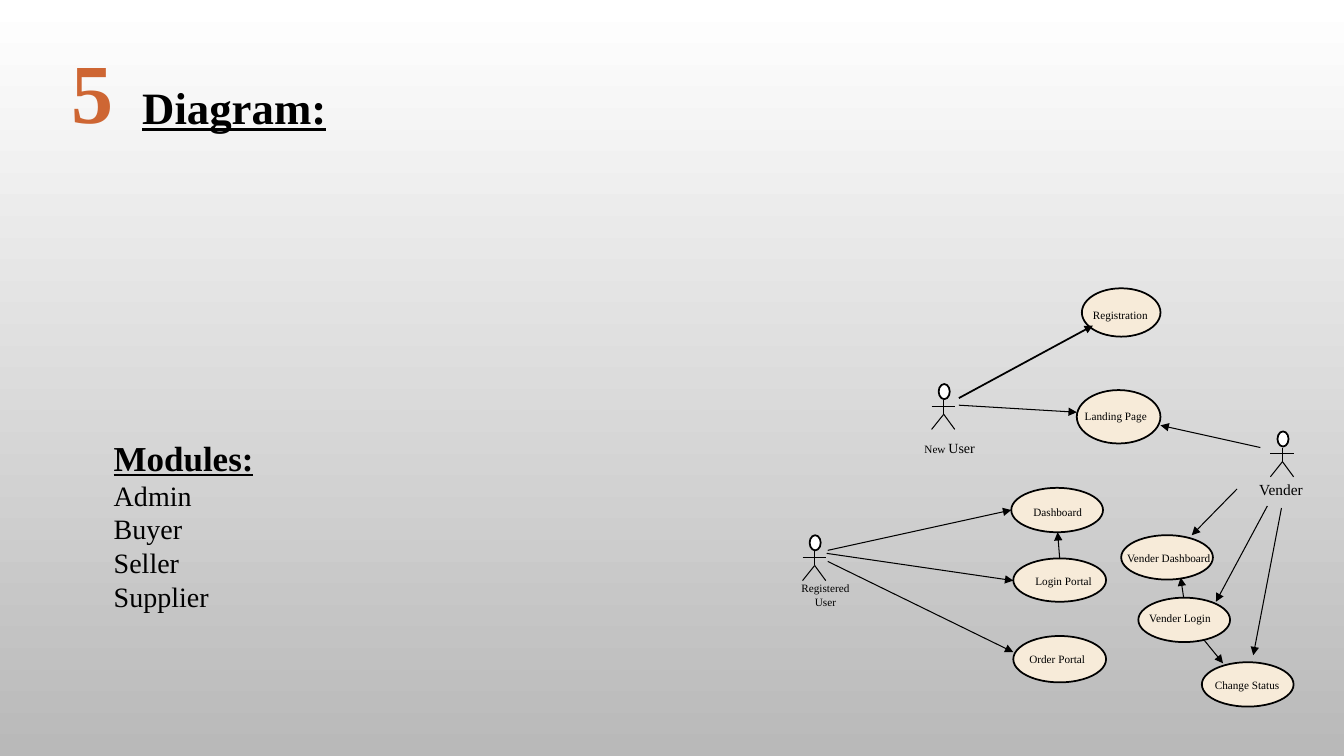
from pptx import Presentation
from pptx.dml.color import RGBColor
from pptx.enum.shapes import MSO_CONNECTOR as Connector, MSO_SHAPE as Shape
from pptx.enum.text import MSO_ANCHOR as Anchor, PP_ALIGN as Align
from pptx.oxml.ns import qn
from pptx.util import Inches, Pt
from lxml.etree import SubElement

FONT = "Times New Roman"
BLACK, WHITE, CREAM, ORANGE = "000000", "FFFFFF", "F7EBD9", "CE6633"
HEADING = {"bold": True, "underline": True}

# Use cases: ellipse (left, top, width, height), label, label (left, top, width), wrap
SHOP_CASES = [
    ((2.93, 0.06, 0.78, 0.48), "Registration", (2.94, 0.21, 0.75), True),
    ((2.88, 1.07, 0.83, 0.53), "Landing Page", (2.86, 1.21, 0.82), False),
    ((2.23, 2.04, 0.91, 0.44), "Dashboard", (2.35, 2.16, 0.69), False),
    ((2.25, 2.74, 0.92, 0.43), "Login Portal", (2.37, 2.85, 0.77), False),
    ((2.25, 3.51, 0.92, 0.46), "Order Portal", (2.31, 3.62, 0.91), True),
]
VENDER_CASES = [
    ((3.32, 2.51, 0.91, 0.44), "Vender Dashboard", (3.28, 2.62, 1.12), True),
    ((3.49, 3.13, 0.91, 0.44), "Vender Login", (3.50, 3.22, 0.83), False),
    ((4.12, 3.77, 0.91, 0.44), "Change Status", (4.15, 3.88, 0.85), False),
]

# Arrows: start, end, line width
ARROWS = [
    ((1.71, 1.15), (3.04, 0.43), 1.25),  # new user to registration
    ((1.71, 1.22), (2.88, 1.29), 0.75),  # new user to landing page
    ((4.70, 1.64), (3.71, 1.42), 0.75),  # vender to landing page
    ((4.91, 2.24), (4.63, 3.70), 0.75),  # vender to change status
    ((0.41, 2.66), (2.23, 2.26), 0.75),  # registered user to dashboard
    ((0.40, 2.69), (2.25, 2.96), 0.75),  # registered user to login portal
    ((0.41, 2.77), (2.25, 3.67), 0.75),  # registered user to order portal
    ((4.47, 2.05), (4.02, 2.51), 0.75),  # vender to vender dashboard
    ((3.94, 3.13), (3.91, 2.93), 0.75),  # vender login to vender dashboard
    ((4.77, 2.22), (4.26, 3.17), 0.75),  # vender to vender login
    ((4.11, 3.51), (4.33, 3.78), 0.75),  # vender login to change status
    ((2.71, 2.74), (2.69, 2.48), 0.75),  # login portal to dashboard
]

# Actors: figure (left, top), name box, lines of (text, size) spans, wrap
ACTORS = [
    ((1.44, 1.01), (1.27, 1.51, 0.85, 0.27), [[("New ", 8), ("User", 10)]], True),
    ((4.80, 1.48), (4.59, 1.91, 0.66, 0.29), [[("Vender", 11)]], False),
    ((0.16, 2.51), (0.05, 2.92, 0.68, 0.37),
     [[("Registered", 8)], [("User", 8)]], False),
]


def color(value):
    return RGBColor.from_string(value)


def write(para, text, size, fill=BLACK, **style):
    span = para.add_run()
    span.text = text
    span.font.color.rgb = color(fill)
    for name, value in {"name": FONT, "size": Pt(size), **style}.items():
        setattr(span.font, name, value)


def add_text(page, box, lines, wrap=True):
    """Each line is a list of (text, size, style) spans."""
    frame = page.shapes.add_textbox(*map(Inches, box)).text_frame
    frame.word_wrap = wrap
    for index, spans in enumerate(lines):
        para = frame.add_paragraph() if index else frame.paragraphs[0]
        for text, size, style in spans:
            write(para, text, size, **style)
    return frame


def add_ellipse(page, box, fill):
    ellipse = page.shapes.add_shape(Shape.OVAL, *map(Inches, box))
    ellipse.shadow.inherit = False
    ellipse.fill.solid()
    ellipse.fill.fore_color.rgb = color(fill)
    ellipse.line.color.rgb = color(BLACK)
    ellipse.line.width = Pt(1.25)


def add_line(page, start, end, width=0.75, arrow=False):
    line = page.shapes.add_connector(Connector.STRAIGHT, *map(Inches, (*start, *end)))
    line.line.color.rgb = color(BLACK)
    line.line.width = Pt(width)
    properties = line._element.spPr
    if arrow:
        SubElement(properties.find(qn("a:ln")), qn("a:tailEnd"), type="triangle")
    SubElement(properties, qn("a:effectLst"))


def add_header(page, left, top):
    # Title
    title = page.shapes.title
    title.left, title.top = Inches(left + 0.7), Inches(top + 0.4)
    title.width, title.height = Inches(2.33), Inches(0.64)
    frame = title.text_frame
    frame.word_wrap = True
    frame.vertical_anchor = Anchor.TOP
    frame.paragraphs[0].alignment = Align.LEFT
    write(frame.paragraphs[0], "Diagram:", 32, **HEADING)
    # Section number
    number = ("5", 60, {"fill": ORANGE, "bold": True})
    add_text(page, (left, top, 0.65, 1.11), [[number]])


def add_modules(page, box):
    names = ["Admin", "Buyer", "Seller", "Supplier"]
    lines = [[("Modules:", 25, HEADING)]] + [[(name, 20, {})] for name in names]
    add_text(page, box, lines)


def add_case(page, left, top, case):
    (x, y, width, height), label, (label_x, label_y, label_width), wrap = case
    add_ellipse(page, (left + x, top + y, width, height), CREAM)
    label_box = (left + label_x, top + label_y, label_width, 0.24)
    add_text(page, label_box, [[(label, 8, {})]], wrap)


def add_figure(page, left, top):
    middle, right = left + 0.12, left + 0.23
    hip = (middle, top + 0.3)
    for foot in (left, right):
        add_line(page, hip, (foot, top + 0.45))
    add_ellipse(page, (left + 0.07, top, 0.11, 0.15), WHITE)
    add_line(page, (middle, top + 0.16), hip)
    add_line(page, (left, top + 0.22), (right, top + 0.22))


def add_actor(page, left, top, actor):
    (x, y), (name_x, name_y, width, height), lines, wrap = actor
    add_figure(page, left + x, top + y)
    spans = [[(text, size, {}) for text, size in line] for line in lines]
    frame = add_text(page, (left + name_x, top + name_y, width, height), spans, wrap)
    for para in frame.paragraphs[1:]:
        para.alignment = Align.CENTER


def add_diagram(page, left, top):
    for case in SHOP_CASES:
        add_case(page, left, top, case)
    for (x1, y1), (x2, y2), width in ARROWS:
        add_line(page, (left + x1, top + y1), (left + x2, top + y2), width, arrow=True)
    for actor in ACTORS:
        add_actor(page, left, top, actor)
    for case in VENDER_CASES:
        add_case(page, left, top, case)


def add_background(page):
    fill = page.background.fill
    fill.gradient()
    fill.gradient_angle = 270
    for stop, shade in zip(fill.gradient_stops, (WHITE, "B9B9B9")):
        stop.color.rgb = color(shade)
    for stop, position in zip(fill.gradient_stops, (0, 1)):
        stop.position = position


def main():
    deck = Presentation()
    deck.slide_width, deck.slide_height = Inches(13.33), Inches(7.5)
    page = deck.slides.add_slide(deck.slide_layouts[5])
    add_background(page)
    add_header(page, 0.61, 0.34)
    add_modules(page, (1.03, 4.28, 3.3, 1.87))
    add_diagram(page, 7.8, 2.8)
    deck.save("out.pptx")


if __name__ == "__main__":
    main()
